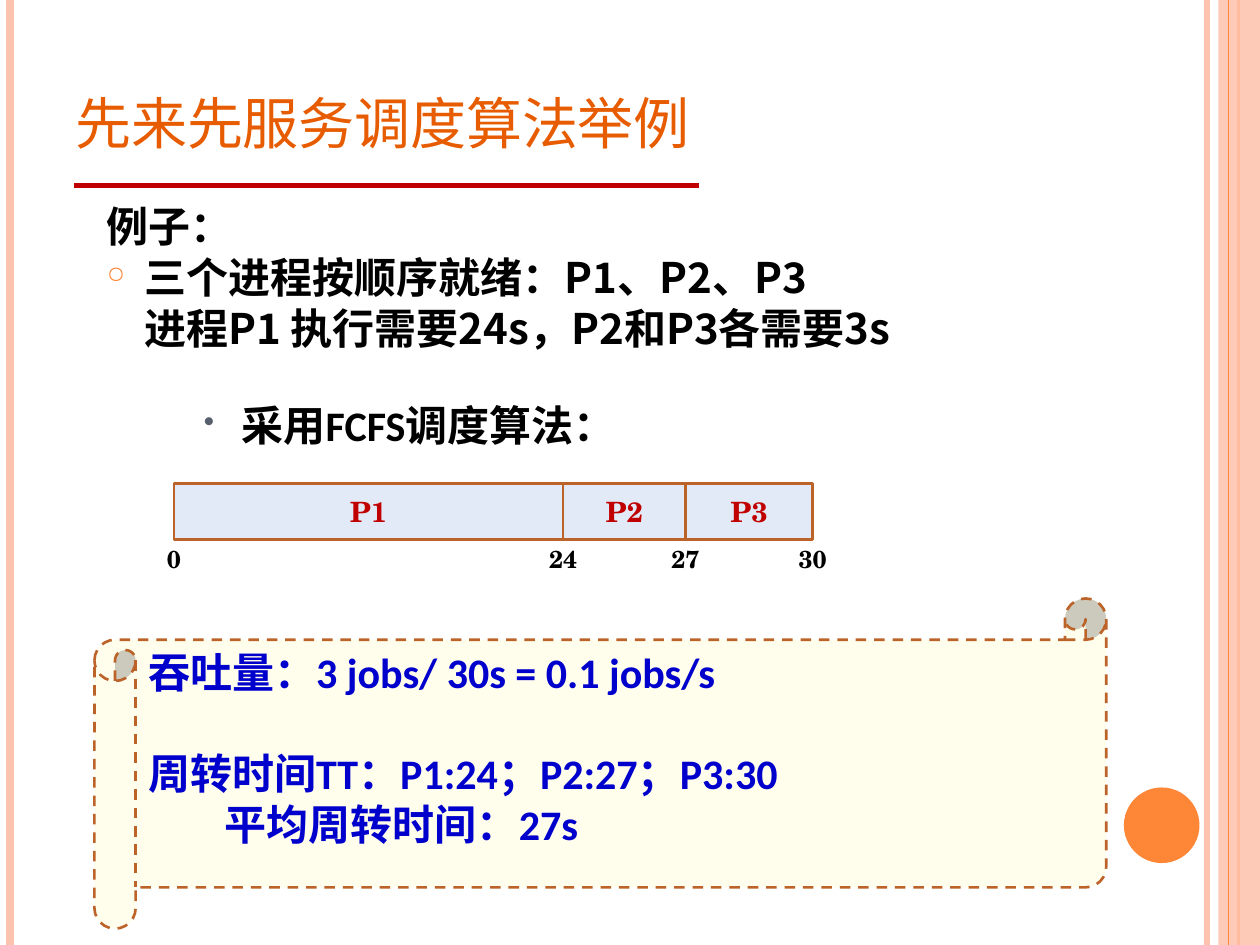
"""Build a slide that works through first-come-first-served scheduling."""
from lxml import etree
from pptx import Presentation
from pptx.dml.color import RGBColor
from pptx.enum.dml import MSO_LINE
from pptx.enum.shapes import MSO_CONNECTOR, MSO_SHAPE
from pptx.enum.text import MSO_ANCHOR, PP_ALIGN
from pptx.oxml.ns import qn
from pptx.util import Inches, Pt

STRAIGHT = MSO_CONNECTOR.STRAIGHT
RECTANGLE, OVAL, SCROLL = MSO_SHAPE.RECTANGLE, MSO_SHAPE.OVAL, MSO_SHAPE.HORIZONTAL_SCROLL
TOP, MIDDLE, BOTTOM = MSO_ANCHOR.TOP, MSO_ANCHOR.MIDDLE, MSO_ANCHOR.BOTTOM
LEFT, CENTER = PP_ALIGN.LEFT, PP_ALIGN.CENTER
DASH = MSO_LINE.DASH
HAN, SANS, SERIF = "Noto Sans CJK SC", "Calibri", "TeX Gyre Schola"
PEACH, ORANGE, BROWN, RED, BLACK = "FEC3AE", "FE8637", "BC6329", "C00000", "000000"

deck = Presentation()
deck.slide_width, deck.slide_height = Inches(10), Inches(7.5)
COL, ROW = deck.slide_width // 100, deck.slide_height // 75
page = deck.slides.add_slide(deck.slide_layouts[6])
color = RGBColor.from_string


def write(box, text, size=24, font=HAN, ink=BLACK, bold=True, align=LEFT, anchor=TOP,
          first=True, before=0, pitch=None, margin=0, indent=0, bullet=None, caps=None):
    """Add one formatted paragraph to a box."""
    frame = box.text_frame
    frame.word_wrap, frame.vertical_anchor = True, anchor
    para = frame.paragraphs[0] if first else frame.add_paragraph()
    para.alignment, para.space_before = align, Pt(before)
    if pitch:
        para.line_spacing = Pt(pitch)
    props = para._p.get_or_add_pPr()
    props.set("marL", str(int(margin * COL)))
    props.set("indent", str(int(indent * COL)))
    if bullet:
        mark, tint, percent = bullet
        holder = etree.SubElement(props, qn("a:buClr"))
        etree.SubElement(holder, qn("a:srgbClr"), val=tint)
        etree.SubElement(props, qn("a:buSzPct"), val=str(percent * 1000))
        etree.SubElement(props, qn("a:buChar"), char=mark)
    span = para.add_run()
    span.text = text
    span.font.size, span.font.name, span.font.bold = Pt(size), font, bold
    span.font.color.rgb = color(ink)
    letters = span._r.get_or_add_rPr()
    etree.SubElement(letters, qn("a:ea"), typeface=HAN)
    if caps:
        letters.set("cap", caps)


def draw(kind, left, top, width, height, fill=None, edge=None):
    """Add a filled shape, or a text box when kind is None, placed on the grid."""
    place = int(left * COL), int(top * ROW), int(width * COL), int(height * ROW)
    if kind is None:
        return page.shapes.add_textbox(*place)
    shape = page.shapes.add_shape(kind, *place)
    shape.shadow.inherit = False
    shape.fill.solid()
    shape.fill.fore_color.rgb = color(fill)
    if edge:
        shape.line.color.rgb, shape.line.width = color(edge), Pt(1.5)
    else:
        shape.line.fill.background()
    return shape


rules = [(95.8, 0, 95.8, 75, PEACH, 3), (0.8, 0, 0.8, 75, PEACH, 4.5),
         (98.3, 0, 98.3, 75, ORANGE, 1.5), (97.5, 0, 97.5, 75, ORANGE, 0.75),
         (5.9, 14.7, 55.5, 14.7, RED, 3)]
for x1, y1, x2, y2, ink, weight in rules:
    rule = page.shapes.add_connector(STRAIGHT, int(x1 * COL), int(y1 * ROW),
                                     int(x2 * COL), int(y2 * ROW))
    rule.line.color.rgb, rule.line.width = color(ink), Pt(weight)
    etree.SubElement(rule._element.spPr, qn("a:effectLst"))
    if (ink, weight) == (ORANGE, 1.5):
        band = draw(RECTANGLE, 96.7, 0, 3.3, 75, PEACH)
        tint = band._element.spPr.find(qn("a:solidFill"))[0]
        etree.SubElement(tint, qn("a:alpha"), val="87000")
draw(OVAL, 89.2, 62.5, 6, 6, ORANGE)

title = draw(None, 5, 3, 81.7, 10.1)
write(title, "先来先服务调度算法举例", size=40, ink="E75C01", bold=False, anchor=BOTTOM, caps="small")
example = draw(None, 7.5, 15.4, 68.6, 14.7)
write(example, "例子：", pitch=29)
write(example, "三个进程按顺序就绪：P1、P2、P3", first=False, pitch=29,
      margin=3, indent=-3, bullet=("○", ORANGE, 55))
write(example, "进程P1 执行需要24s，P2和P3各需要3s", first=False, pitch=29, indent=3)
method = draw(None, 15.2, 31.2, 68.6, 6.3)
write(method, "采用FCFS调度算法：", font=SANS, pitch=29,
      margin=3, indent=-3, bullet=("•", "575F6D", 73))

edge = 13.8
marks = [("0", edge)]
for name, width, end in [("P1", 30.9, "24"), ("P2", 9.7, "27"), ("P3", 10.1, "30")]:
    bar = draw(RECTANGLE, edge, 38.4, width, 4.4, "E3EAF7", BROWN)
    write(bar, name, size=16, font=SERIF, ink=RED, align=CENTER, anchor=MIDDLE)
    edge += width
    marks.append((end, edge))
for text, middle in marks:
    write(draw(None, middle - 3, 42.7, 6, 3.4), text, size=14, font=SERIF, align=CENTER)

scroll = draw(SCROLL, 7.5, 47.5, 80.3, 26.2, "FFFDEB", BROWN)
scroll.line.dash_style = DASH
results = [("吞吐量：3 jobs/ 30s = 0.1 jobs/s", 0, 0),
           ("周转时间TT：P1:24；P2:27；P3:30", 29, 0),
           ("平均周转时间：27s", 0, 6.1)]
for number, (text, before, indent) in enumerate(results):
    write(scroll, text, font=SANS, ink="0000CC", first=number == 0,
          before=before, pitch=29, indent=indent)

deck.save("out.pptx")
